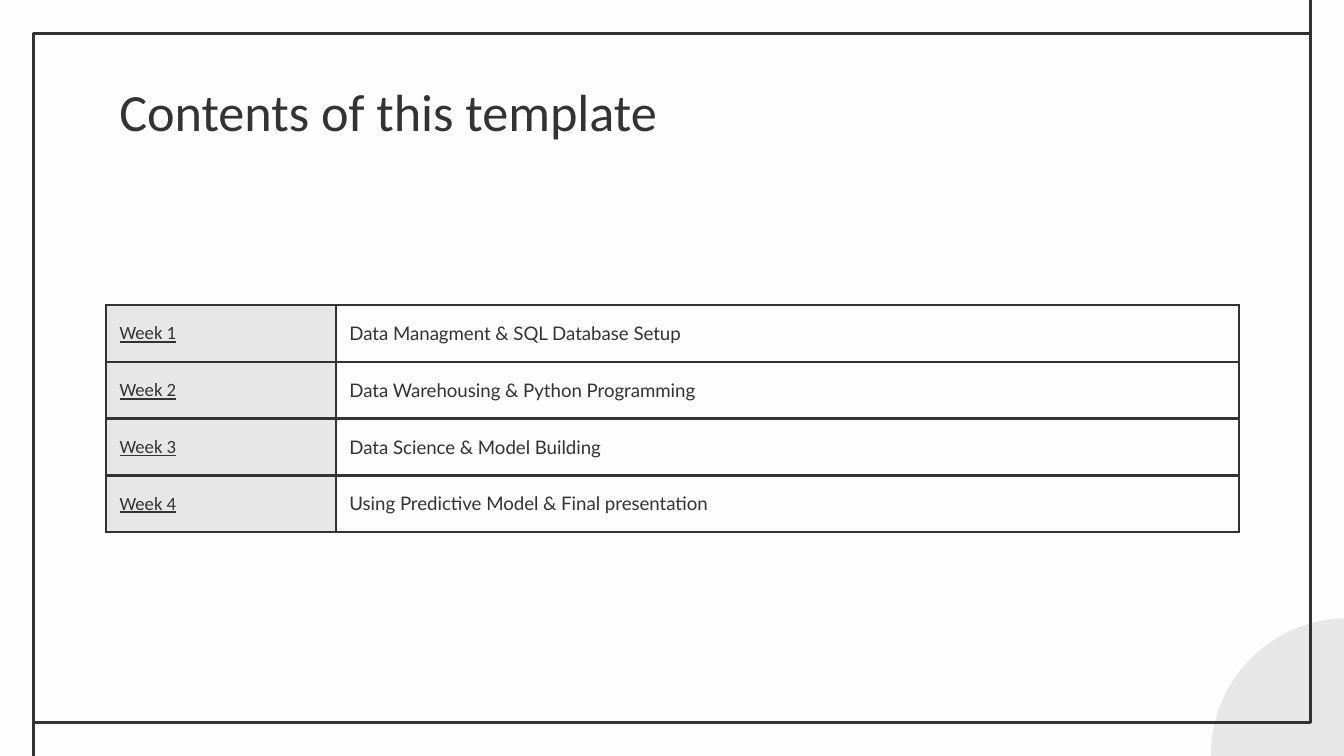
from dataclasses import dataclass

from lxml import etree
from pptx import Presentation
from pptx.dml.color import RGBColor
from pptx.enum.shapes import MSO_CONNECTOR, MSO_SHAPE
from pptx.enum.text import MSO_ANCHOR
from pptx.oxml.ns import qn
from pptx.util import Inches, Pt

STRAIGHT = MSO_CONNECTOR.STRAIGHT
OVAL = MSO_SHAPE.OVAL
RECTANGLE = MSO_SHAPE.RECTANGLE
TOP, MIDDLE = MSO_ANCHOR.TOP, MSO_ANCHOR.MIDDLE


@dataclass(frozen=True)
class Theme:
    ink: str = "333333"
    paper: str = "FDFDFD"
    grey: str = "E8E7E7"
    heading_font: str = "Calibri"
    body_font: str = "Lato"
    title_size: float = 28
    body_size: float = 10
    rule: float = 1.5
    inset: float = 0.1


THEME = Theme()
WIDTH = 10
HEIGHT = WIDTH * 9 / 16

# Grid: frame margin, content column, table columns and rows
MARGIN = 0.25
OVERSHOOT = 0.05
LEFT, CONTENT_WIDTH = 0.79, 8.43
WEEK_WIDTH = 1.71
TABLE_TOP, TABLE_HEIGHT = 2.27, 1.69

TOPICS = [
    "Data Managment & SQL Database Setup",
    "Data Warehousing & Python Programming",
    "Data Science & Model Building",
    "Using Predictive Model & Final presentation",
]


def rgb(color):
    return RGBColor.from_string(color)


def write(tf, text, *, size=THEME.body_size, font=THEME.body_font,
          color=THEME.ink, underline=False, after=0):
    """Write one formatted paragraph into a text frame."""
    p = tf.paragraphs[0]
    p.space_after = Pt(after)
    r = p.add_run()
    r.text = text
    r.font.size = Pt(size)
    r.font.name = font
    r.font.color.rgb = rgb(color)
    r.font.underline = underline


def set_margins(box):
    inset = Inches(THEME.inset)
    box.margin_left = box.margin_right = inset
    box.margin_top = box.margin_bottom = inset


def add_shape(s, kind, x, y, w, h, fill=None, line=None):
    sp = s.shapes.add_shape(kind, Inches(x), Inches(y), Inches(w), Inches(h))
    sp.shadow.inherit = False
    if fill:
        sp.fill.solid()
        sp.fill.fore_color.rgb = rgb(fill)
    else:
        sp.fill.background()
    if line:
        sp.line.color.rgb = rgb(line)
        sp.line.width = Pt(THEME.rule)
    else:
        sp.line.fill.background()


def add_vertical(s, x, y1, y2):
    line = s.shapes.add_connector(
        STRAIGHT, Inches(x), Inches(y1), Inches(x), Inches(y2))
    line.line.color.rgb = rgb(THEME.ink)
    line.line.width = Pt(THEME.rule)
    etree.SubElement(line._element.spPr, qn("a:effectLst"))


def add_title(s, text):
    box = s.shapes.add_textbox(
        Inches(LEFT), Inches(0.49), Inches(CONTENT_WIDTH), Inches(0.63))
    tf = box.text_frame
    tf.word_wrap = True
    tf.vertical_anchor = TOP
    set_margins(tf)
    write(tf, text, size=THEME.title_size, font=THEME.heading_font)


def format_cell(cell, fill=None):
    set_margins(cell)
    cell.vertical_anchor = MIDDLE
    # Borders come before the fill in the cell properties
    tc_pr = cell._tc.get_or_add_tcPr()
    for side in ("lnL", "lnR", "lnT", "lnB"):
        ln = etree.SubElement(tc_pr, qn(f"a:{side}"), w=str(Pt(THEME.rule)))
        solid = etree.SubElement(ln, qn("a:solidFill"))
        etree.SubElement(solid, qn("a:srgbClr"), val=THEME.ink)
    if fill:
        cell.fill.solid()
        cell.fill.fore_color.rgb = rgb(fill)
    else:
        cell.fill.background()


def add_contents_table(s, topics):
    frame = s.shapes.add_table(
        len(topics), 2, Inches(LEFT), Inches(TABLE_TOP),
        Inches(CONTENT_WIDTH), Inches(TABLE_HEIGHT))
    table = frame.table
    table.first_row = table.horz_banding = False
    table.columns[0].width = Inches(WEEK_WIDTH)
    table.columns[1].width = Inches(CONTENT_WIDTH - WEEK_WIDTH)
    for i, topic in enumerate(topics):
        table.rows[i].height = Inches(TABLE_HEIGHT / len(topics))
        week, subject = table.cell(i, 0), table.cell(i, 1)
        format_cell(week, THEME.grey)
        format_cell(subject)
        write(week.text_frame, f"Week {i + 1}",
              font=THEME.heading_font, underline=True)
        write(subject.text_frame, topic, after=16)


def add_decoration(s):
    # Corner disc
    add_shape(s, OVAL, 9.01, 4.6, 2.04, 2.04, fill=THEME.grey)
    # Frame, with one line running off the slide at two opposite corners
    right, bottom = WIDTH - MARGIN, HEIGHT - MARGIN
    add_vertical(s, right, MARGIN, -OVERSHOOT)
    add_vertical(s, MARGIN, HEIGHT + OVERSHOOT, bottom)
    add_shape(s, RECTANGLE, MARGIN, MARGIN, right - MARGIN, bottom - MARGIN,
              line=THEME.ink)


def main():
    prs = Presentation()
    prs.slide_width, prs.slide_height = Inches(WIDTH), Inches(HEIGHT)
    s = prs.slides.add_slide(prs.slide_layouts[6])
    s.background.fill.solid()
    s.background.fill.fore_color.rgb = rgb(THEME.paper)

    add_decoration(s)
    add_title(s, "Contents of this template")
    add_contents_table(s, TOPICS)
    prs.save("out.pptx")


if __name__ == "__main__":
    main()
